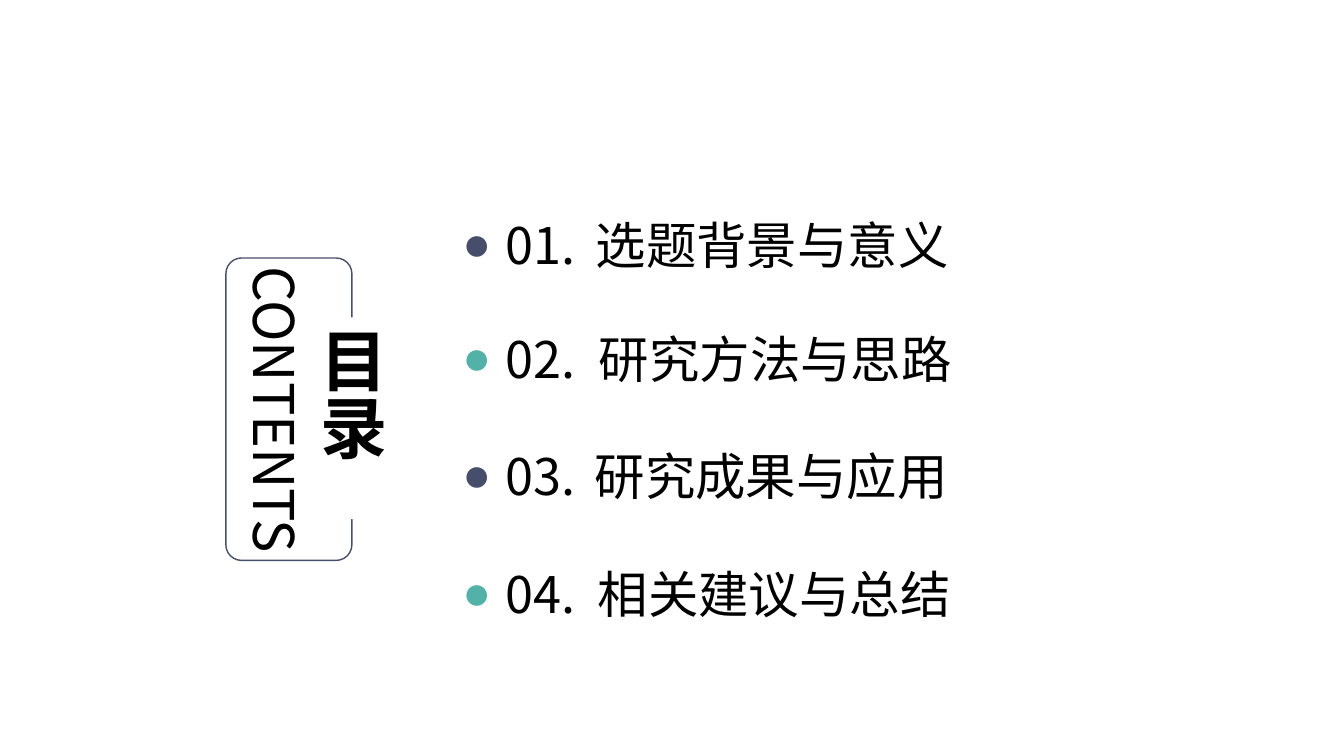
from lxml.etree import SubElement
from pptx import Presentation
from pptx.dml.color import RGBColor
from pptx.enum.shapes import MSO_SHAPE as SHAPE
from pptx.enum.text import MSO_ANCHOR as ANCHOR, MSO_AUTO_SIZE as AUTO, PP_ALIGN as ALIGN
from pptx.oxml.ns import qn
from pptx.util import Inches, Pt

FONT = "Noto Sans CJK JP"
BLACK = RGBColor(0x00, 0x00, 0x00)
WHITE = RGBColor(0xFF, 0xFF, 0xFF)
NAVY = RGBColor(0x47, 0x4E, 0x6B)
TEAL = RGBColor(0x52, 0xB2, 0xA7)

TITLE, SUBTITLE = "目录", "CONTENTS"
CHAPTERS = [
    ("选题背景与意义", 5.81, 2.07),
    ("研究方法与思路", 5.84, 3.2),
    ("研究成果与应用", 5.8, 4.36),
    ("相关建议与总结", 5.83, 5.53),
]
BULLETS = (NAVY, TEAL)
NUMBER_LEFT, NUMBER_W, CHAPTER_W, ROW_H = 4.45, 1.54, 4.42, 0.71


def add_bullet(p, color):
    pPr = p._p.get_or_add_pPr()
    pPr.set("marL", "0")
    pPr.set("indent", str(-Inches(0.43)))
    SubElement(SubElement(pPr, qn("a:buClr")), qn("a:srgbClr"), val=str(color))
    SubElement(pPr, qn("a:buSzPct"), val="95000")
    SubElement(pPr, qn("a:buFont"), typeface="Arial")
    SubElement(pPr, qn("a:buChar"), char="●")


def write(sp, text, size, align, bold=False, bullet=None):
    tf = sp.text_frame
    tf.word_wrap = True
    tf.auto_size = AUTO.SHAPE_TO_FIT_TEXT
    tf.vertical_anchor = ANCHOR.MIDDLE
    p = tf.paragraphs[0]
    p.alignment = align
    if bullet is not None:
        add_bullet(p, bullet)
    r = p.add_run()
    r.text = text
    r.font.name = FONT
    r.font.size = Pt(size)
    r.font.bold = bold
    r.font.color.rgb = BLACK
    SubElement(r.font._element, qn("a:ea"), typeface=FONT)


def add_text(s, box, *args, **kwargs):
    sp = s.shapes.add_textbox(*map(Inches, box))
    write(sp, *args, **kwargs)
    return sp


def add_heading(s):
    add_text(s, (1.14, 3.68, 3.19, 0.77), SUBTITLE, 40, ALIGN.CENTER).rotation = 90

    frame = s.shapes.add_shape(SHAPE.ROUNDED_RECTANGLE, *map(Inches, (2.24, 2.56, 1.25, 3)))
    frame.adjustments[0] = 0.125
    frame.shadow.inherit = False
    frame.fill.background()
    frame.line.color.rgb = NAVY
    frame.line.width = Pt(1)

    title = s.shapes.add_shape(SHAPE.RECTANGLE, *map(Inches, (2.98, 3.15, 1.01, 2)))
    title.shadow.inherit = False
    title.fill.solid()
    title.fill.fore_color.rgb = WHITE
    title.line.fill.background()
    write(title, TITLE, 48, ALIGN.JUSTIFY, bold=True)
    title.text_frame._txBody.bodyPr.set("vert", "eaVert")


def main():
    """Build the contents slide."""
    prs = Presentation()
    prs.slide_width, prs.slide_height = Inches(13.33), Inches(7.5)
    s = prs.slides.add_slide(prs.slide_layouts[6])
    add_heading(s)
    for i, (chapter, left, top) in enumerate(CHAPTERS):
        add_text(s, (left, top, CHAPTER_W, ROW_H), chapter, 36, ALIGN.JUSTIFY)
        add_text(s, (NUMBER_LEFT, top, NUMBER_W, ROW_H), f"{i + 1:02}.", 36, ALIGN.CENTER,
                 bullet=BULLETS[i % len(BULLETS)])
    prs.save("out.pptx")


if __name__ == "__main__":
    main()
